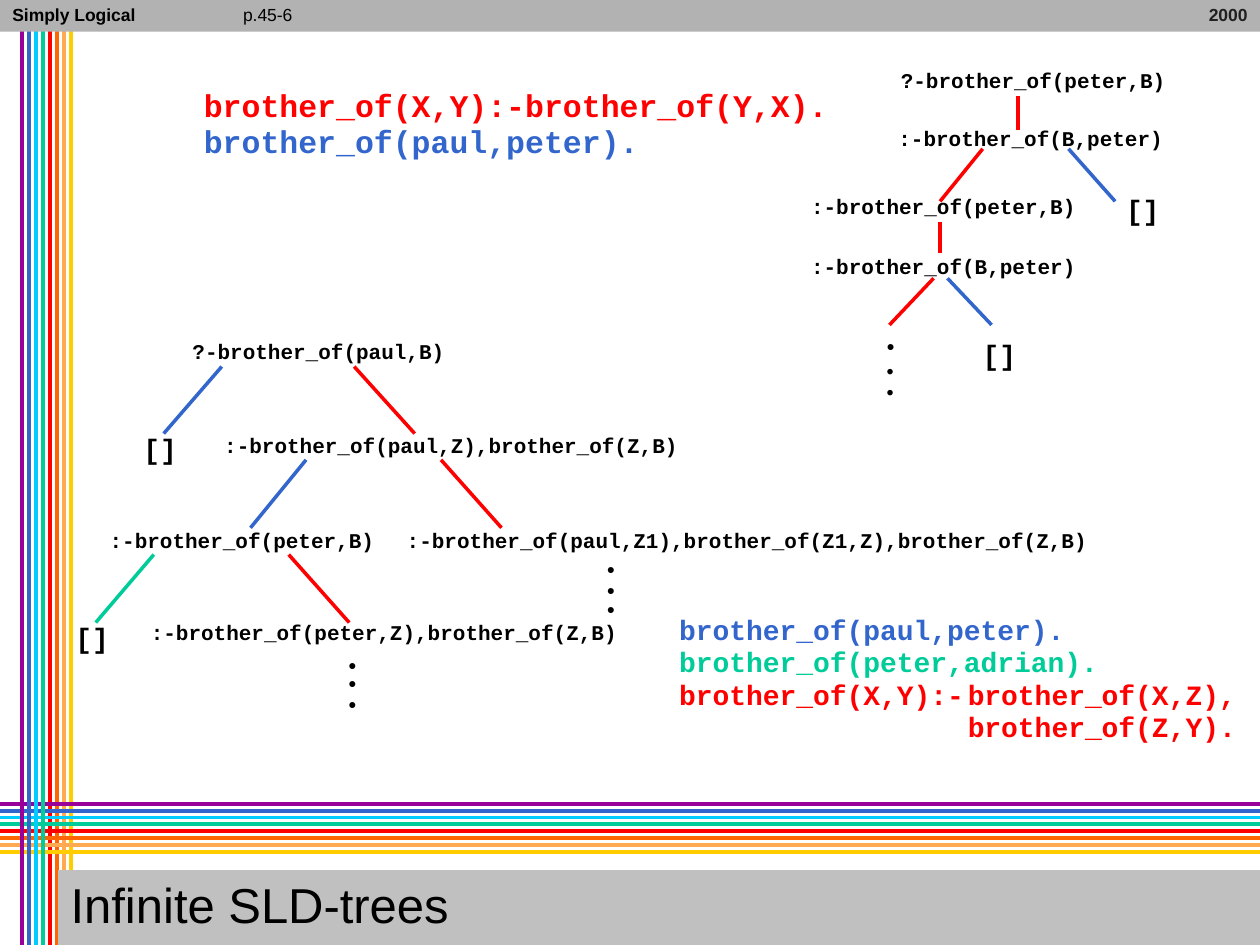
from dataclasses import dataclass

from lxml import etree
from pptx import Presentation
from pptx import util as u
from pptx.dml import color
from pptx.enum import shapes, text
from pptx.oxml import ns


@dataclass(frozen=True)
class Theme:
    purple: str = "990099"
    blue: str = "3366CC"
    sky: str = "00CCFF"
    green: str = "00CC99"
    red: str = "FF0000"
    orange: str = "FF6600"
    peach: str = "FFA953"
    yellow: str = "FFCC00"
    black: str = "000000"
    charcoal: str = "202020"
    header: str = "B2B2B2"
    footer: str = "C0C0C0"
    sans: str = "Arial"
    mono: str = "Courier New"
    title: int = 28
    rules: int = 18
    clause: int = 16
    goal: int = 12
    dot: int = 11
    caption: int = 10
    stripe: float = 2.25
    branch: float = 2


theme = Theme()
deck = Presentation()
deck.slide_width, deck.slide_height = u.Cm(25.4), u.Cm(19.05)
page = deck.slides.add_slide(deck.slide_layouts[5])


def add_line(start_x, start_y, end_x, end_y, tint, weight):
    line = page.shapes.add_connector(
        shapes.MSO_CONNECTOR.STRAIGHT,
        u.Cm(start_x), u.Cm(start_y), u.Cm(end_x), u.Cm(end_y))
    line.line.color.rgb = color.RGBColor.from_string(tint)
    line.line.width = u.Pt(weight)
    etree.SubElement(line.element.spPr, ns.qn("a:effectLst"))


def add_text(left, top, width, height, lines, size, font=theme.mono, bold=True,
             wrap=False, align=text.PP_ALIGN.LEFT, spacing=0.9, box=None):
    box = box or page.shapes.add_textbox(0, 0, 0, 0)
    box.left, box.top = u.Cm(left), u.Cm(top)
    box.width, box.height = u.Cm(width), u.Cm(height)
    frame = box.text_frame
    frame.word_wrap = wrap
    frame.auto_size = text.MSO_AUTO_SIZE.NONE
    para = frame.paragraphs[0]
    para.alignment = align
    para.line_spacing = spacing
    for number, (words, tint) in enumerate(lines):
        if number:
            para.add_line_break()
        span = para.add_run()
        span.text = words
        span.font.name = font
        span.font.size = u.Pt(size)
        span.font.bold = bold
        span.font.color.rgb = color.RGBColor.from_string(tint)
    return para


stripes = [theme.purple, theme.blue, theme.sky, theme.green,
           theme.red, theme.orange, theme.peach, theme.yellow]
columns = [(0.45 + 0.14 * i, tint) for i, tint in enumerate(stripes)]
for x, tint in columns[4:]:
    add_line(x, 0, x, 19.05, tint, theme.stripe)
for i, tint in enumerate(stripes):
    y = 16.2 + 0.14 * i
    add_line(25.4, y, 0, y, tint, theme.stripe)
for x, tint in columns[:4]:
    add_line(x, 0, x, 19.05, tint, theme.stripe)

header = page.shapes.add_shape(
    shapes.MSO_SHAPE.RECTANGLE, 0, 0, u.Cm(25.4), u.Cm(0.64))
header.shadow.inherit = False
header.fill.solid()
header.fill.fore_color.rgb = color.RGBColor.from_string(theme.header)
header.line.fill.background()

title = page.shapes.title
title.element.getparent().append(title.element)
title.fill.solid()
title.fill.fore_color.rgb = color.RGBColor.from_string(theme.footer)
title.text_frame.vertical_anchor = text.MSO_ANCHOR.MIDDLE
add_text(1.17, 17.54, 24.23, 1.51, [("Infinite SLD-trees", theme.black)],
         theme.title, theme.sans, bold=False, wrap=True, box=title)

symmetry = add_text(3.86, 1.65, 13.08, 1.7, [
    ("brother_of(X,Y):-brother_of(Y,X).", theme.red),
    ("brother_of(paul,peter).", theme.blue),
], theme.rules, spacing=0.96)
symmetry.space_before = symmetry.space_after = u.Pt(10.7)

transitivity = add_text(13.44, 12.27, 11.73, 2.84, [
    ("brother_of(paul,peter).", theme.blue),
    ("brother_of(peter,adrian).", theme.green),
    ("brother_of(X,Y):-\tbrother_of(X,Z),", theme.red),
    ("\tbrother_of(Z,Y).", theme.red),
], theme.clause, spacing=0.96)
transitivity.space_before = transitivity.space_after = u.Pt(9.5)
tabs = etree.SubElement(transitivity._p.get_or_add_pPr(), ns.qn("a:tabLst"))
etree.SubElement(tabs, ns.qn("a:tab"), pos=str(u.Cm(5.82)), algn="l")

branches = [
    (3.3, 8.74, 4.47, 7.39, theme.blue),
    (8.36, 8.74, 7.14, 7.39, theme.red),
    (10.11, 10.64, 8.89, 9.27, theme.red),
    (5.05, 10.64, 6.17, 9.27, theme.blue),
    (1.93, 12.55, 3.1, 11.18, theme.green),
    (7.04, 12.55, 5.82, 11.18, theme.red),
    (17.93, 6.55, 18.82, 5.61, theme.red),
    (18.95, 4.47, 18.95, 5.11, theme.red),
    (19.99, 6.55, 19.1, 5.61, theme.blue),
    (18.95, 4.06, 19.81, 3, theme.red),
    (20.52, 1.93, 20.52, 2.62, theme.red),
    (22.48, 4.06, 21.54, 3, theme.blue),
]
for branch in branches:
    add_line(*branch, theme.branch)

goals = [
    (3.63, 6.76, "?-brother_of(paul,B)"),
    (4.27, 8.66, ":-brother_of(paul,Z),brother_of(Z,B)"),
    (7.95, 10.57, ":-brother_of(paul,Z1),brother_of(Z1,Z),brother_of(Z,B)"),
    (1.96, 10.57, ":-brother_of(peter,B)"),
    (2.79, 12.42, ":-brother_of(peter,Z),brother_of(Z,B)"),
    (17.91, 1.3, "?-brother_of(peter,B)"),
    (17.86, 2.46, ":-brother_of(B,peter)"),
    (16.1, 3.84, ":-brother_of(peter,B)"),
    (16.1, 5.05, ":-brother_of(B,peter)"),
]
for left, top, goal in goals:
    width = 0.51 + 0.6 * theme.goal * len(goal) / 72 * 2.54
    add_text(left, top, width, 0.71, [(goal, theme.black)], theme.goal)

for left, top in [(2.64, 8.66), (1.27, 12.47), (19.56, 6.76), (22.45, 3.84)]:
    add_text(left, top, 1.17, 0.86, [("[]", theme.black)], theme.clause)

ellipses = [
    (6.73, (13.08, 13.44, 13.87), theme.goal),
    (11.94, (11.15, 11.58, 11.96), theme.goal),
    (17.58, (6.65, 7.16, 7.59), theme.dot),
]
for left, tops, lower_size in ellipses:
    sizes = (theme.goal, lower_size, lower_size)
    for top, size, height in zip(tops, sizes, (1.17, 1.17, 0.71)):
        add_text(left, top, 0.76, height, [("•", theme.black)], size)

add_text(4.65, 0, 1.93, 0.64, [("p.45-6", theme.black)],
         theme.caption, theme.sans, bold=False)
add_text(0, 0, 5.08, 0.64, [("Simply Logical", theme.black)],
         theme.caption, theme.sans, wrap=True)
add_text(18.54, 0, 6.86, 0.64, [("2000", theme.charcoal)],
         theme.caption, theme.sans, wrap=True, align=text.PP_ALIGN.RIGHT)

deck.save("out.pptx")
